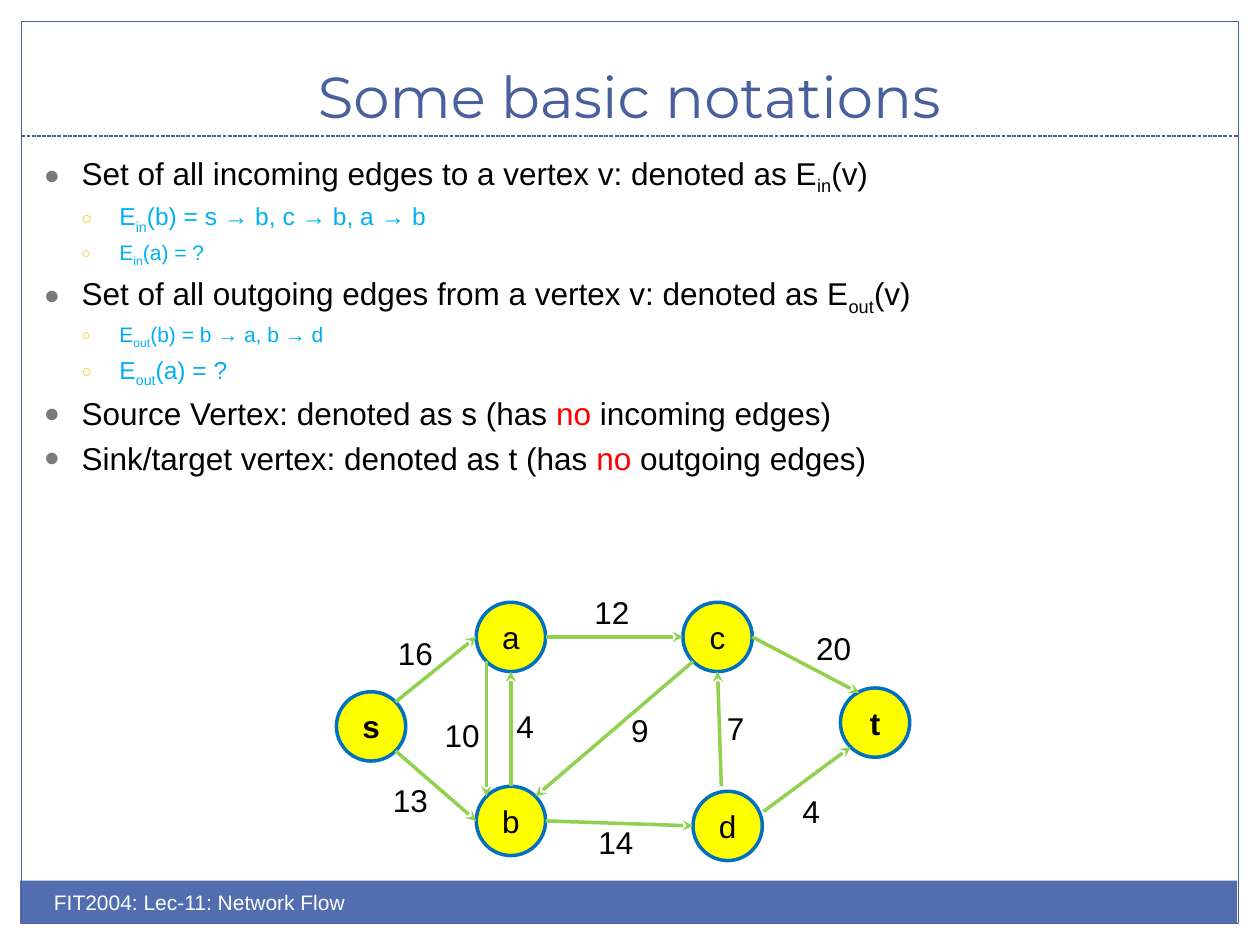
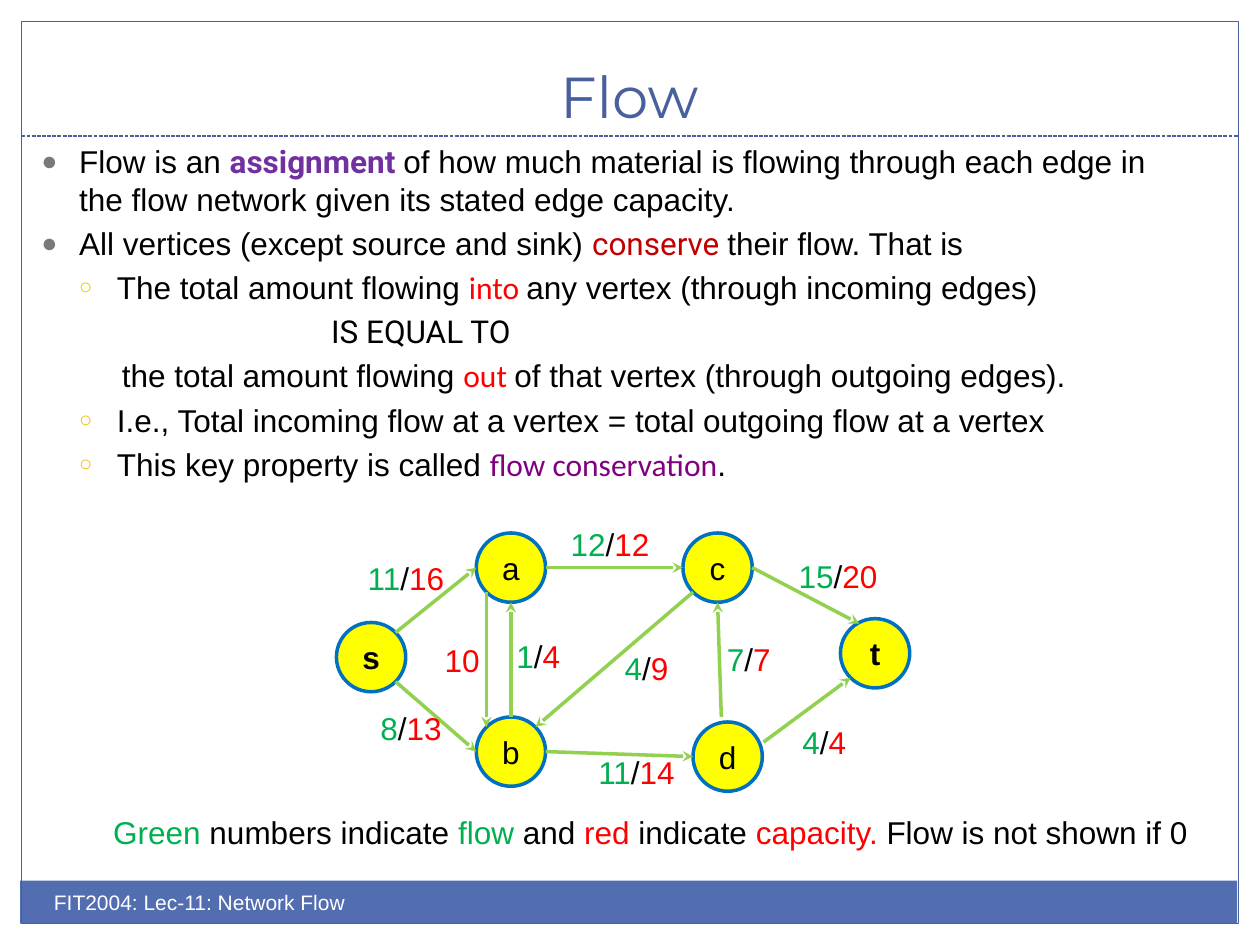
import math

import lxml.etree
import pptx
import pptx.dml.color
import pptx.enum.dml
import pptx.enum.shapes
import pptx.enum.text
import pptx.oxml.ns
import pptx.util

RGBColor = pptx.dml.color.RGBColor
SHAPE = pptx.enum.shapes.MSO_SHAPE
ANCHOR = pptx.enum.text.MSO_ANCHOR
ALIGN = pptx.enum.text.PP_ALIGN

SLIDE_WIDTH = pptx.util.Inches(10)
SLIDE_HEIGHT = pptx.util.Inches(7.5)
COLUMN = SLIDE_WIDTH / 100
ROW = SLIDE_HEIGHT / 75

BLACK = RGBColor(0, 0, 0)
WHITE = RGBColor(255, 255, 255)
FRAME_BLUE = RGBColor(0x48, 0x60, 0x9B)
BAND_BLUE = RGBColor(0x52, 0x6D, 0xB0)
NODE_YELLOW = RGBColor(0xFF, 0xFF, 0)
NODE_BLUE = RGBColor(0, 0x70, 0xC0)
EDGE_GREEN = RGBColor(0x92, 0xD0, 0x50)
FLOW_GREEN = RGBColor(0, 0xB0, 0x50)
RED = RGBColor(0xFF, 0, 0)
DARK_RED = RGBColor(0xC0, 0, 0)
PURPLE = RGBColor(0x70, 0x30, 0xA0)
VIOLET = RGBColor(0x80, 0, 0x80)
EXAMPLE_BLUE = RGBColor(0, 0xB0, 0xF0)
BULLET_GREY = RGBColor(0x7A, 0x7A, 0x7A)
BULLET_GOLD = RGBColor(0xF5, 0xC2, 0x01)

BASE = {"name": "Arial", "size": 18, "color": BLACK}
TITLE = {"name": "Montserrat", "size": 33, "color": FRAME_BLUE}
FOOTER = {"size": 12, "color": WHITE}
EXAMPLE_LARGE = {"size": 14, "color": EXAMPLE_BLUE}
EXAMPLE_SMALL = {"size": 12, "color": EXAMPLE_BLUE}
SUBSCRIPT = {"baseline": -25000}
IN_RED = {"color": RED}
IN_GREEN = {"color": FLOW_GREEN}
RED_CALIBRI = {"name": "Calibri", "color": RED}

BULLETS = {"main": (0, 3, "●", BULLET_GREY, 85), "sub": (1, 6, "○", BULLET_GOLD, 70)}

NODE_SIZE = 5.5
NODES = {"s": (0, 7.1), "a": (11.1, 0), "b": (11.1, 14.6),
         "c": (27.5, 0), "d": (28.3, 15), "t": (40, 6.8)}
TERMINALS = "st"
NO_SHIFT = (0, 0)
EDGES = [
    ("s", -45, NO_SHIFT, "a", 180, NO_SHIFT),
    ("s", 45, NO_SHIFT, "b", 180, NO_SHIFT),
    ("a", 135, NO_SHIFT, "b", 225, NO_SHIFT),
    ("a", 0, NO_SHIFT, "c", 180, NO_SHIFT),
    ("c", 0, NO_SHIFT, "t", 225, (0.7, -0.4)),
    ("d", -90, (-0.5, -0.4), "c", 90, NO_SHIFT),
    ("c", 135, NO_SHIFT, "b", -45, NO_SHIFT),
    ("b", -90, NO_SHIFT, "a", 90, NO_SHIFT),
    ("b", 0, NO_SHIFT, "d", 180, NO_SHIFT),
    ("d", -45, (0.9, 0.8), "t", 135, NO_SHIFT),
]
CAPACITIES = [("16", 3.9, 2), ("13", 3.5, 13.7), ("10", 7.6, 8.5), ("4", 13.3, 7.8),
              ("9", 22.4, 8.1), ("14", 19.8, 17), ("20", 37.1, 1.6), ("7", 30, 8),
              ("12", 19.5, -1.2), ("4", 36, 14.6)]
FLOWS = [("11/16", 1.5, 1.6), ("8/13", 2.5, 13.5), ("10", 7.6, 8.1), ("1/4", 13.3, 7.8),
         ("4/9", 21.9, 8.7), ("11/14", 19.8, 17), ("15/20", 35.7, 1.4), ("7/7", 30, 8),
         ("12/12", 17.6, -1.1), ("4/4", 36, 14.6)]


def place(left, top, width, height):
    return [round(value) for value in (left * COLUMN, top * ROW, width * COLUMN, height * ROW)]


def add_xml(parent, tag, **attributes):
    element = lxml.etree.SubElement(parent, pptx.oxml.ns.qn(tag))
    for name, value in attributes.items():
        element.set(name, str(value))
    return element


def add_run(paragraph, text, style):
    run = paragraph.add_run()
    run.text = text
    for name, value in {**BASE, **style}.items():
        if name == "color":
            run.font.color.rgb = value
        elif name == "baseline":
            run._r.get_or_add_rPr().set("baseline", str(value))
        else:
            setattr(run.font, name, pptx.util.Pt(value) if name == "size" else value)


def add_runs(paragraph, runs, style):
    for run in runs:
        text, own_style = (run, {}) if isinstance(run, str) else run
        add_run(paragraph, text, {**style, **own_style})


def add_text(slide, box, runs, style, wrap=True, anchor=ANCHOR.TOP, alignment=ALIGN.LEFT):
    frame = slide.shapes.add_textbox(*place(*box)).text_frame
    for name, value in {"word_wrap": wrap, "vertical_anchor": anchor}.items():
        setattr(frame, name, value)
    frame.paragraphs[0].alignment = alignment
    add_runs(frame.paragraphs[0], runs, style)


def set_line(line, color, width):
    line.color.rgb = color
    line.width = pptx.util.Pt(width)


def add_figure(slide, kind, box, fill=None, line=None):
    shape = slide.shapes.add_shape(kind, *place(*box))
    shape.shadow.inherit = False
    if fill is None:
        shape.fill.background()
    else:
        shape.fill.solid()
        shape.fill.fore_color.rgb = fill
    if line is None:
        shape.line.fill.background()
    else:
        set_line(shape.line, *line)
    return shape


def add_line(slide, start, end, color, width):
    points = place(*start, *end)
    connector = slide.shapes.add_connector(pptx.enum.shapes.MSO_CONNECTOR.STRAIGHT, *points)
    set_line(connector.line, color, width)
    add_xml(connector._element.spPr, "a:effectLst")
    return connector


def format_paragraph(paragraph, kind):
    properties = paragraph._p.get_or_add_pPr()
    add_xml(add_xml(properties, "a:spcBef"), "a:spcPct", val=20000)
    if kind in BULLETS:
        level, indent, character, color, size = BULLETS[kind]
        hanging = -3
        add_xml(add_xml(properties, "a:buClr"), "a:srgbClr", val=color)
        add_xml(properties, "a:buSzPct", val=size * 1000)
        add_xml(properties, "a:buFont", typeface="Arial")
        add_xml(properties, "a:buChar", char=character)
    else:
        level, indent, hanging = 1, kind, 0
        add_xml(properties, "a:buNone")
    paragraph.level = level
    properties.set("marL", str(round(indent * COLUMN)))
    properties.set("indent", str(round(hanging * COLUMN)))


def add_body(slide, box, items):
    frame = slide.shapes.add_textbox(*place(*box)).text_frame
    frame.word_wrap = True
    for index, (kind, style, runs) in enumerate(items):
        paragraph = frame.add_paragraph() if index else frame.paragraphs[0]
        format_paragraph(paragraph, kind)
        add_runs(paragraph, runs, style)


def add_framed_slide(presentation, title):
    slide = presentation.slides.add_slide(presentation.slide_layouts[6])
    add_figure(slide, SHAPE.RECTANGLE, (1.6, 69.9, 96.6, 3.4), fill=BAND_BLUE)
    add_figure(slide, SHAPE.RECTANGLE, (1.7, 1.7, 96.6, 71.6), line=(FRAME_BLUE, 0.75))
    rule = add_line(slide, (1.7, 10.8), (98.3, 10.8), FRAME_BLUE, 0.75)
    rule.line.dash_style = pptx.enum.dml.MSO_LINE.SQUARE_DOT
    add_text(slide, (3.3, 2.5, 93.3, 8.3), [title], TITLE,
             anchor=ANCHOR.BOTTOM, alignment=ALIGN.CENTER)
    add_text(slide, (3.3, 70.1, 50, 4), ["FIT2004: Lec-11: Network Flow"], FOOTER)
    return slide


def add_node(slide, left, top, name):
    node = add_figure(slide, SHAPE.OVAL, (left, top, NODE_SIZE, NODE_SIZE),
                      fill=NODE_YELLOW, line=(NODE_BLUE, 2))
    frame = node.text_frame
    settings = {"word_wrap": False, "vertical_anchor": ANCHOR.MIDDLE, "margin_left": 0,
                "margin_right": 0, "margin_top": 0, "margin_bottom": 0}
    for setting, value in settings.items():
        setattr(frame, setting, value)
    frame.paragraphs[0].alignment = ALIGN.CENTER
    add_run(frame.paragraphs[0], name, {"bold": name in TERMINALS})


def rim_point(left, top, name, angle, shift):
    radius = NODE_SIZE / 2
    turn = math.radians(angle)
    node_left, node_top = NODES[name]
    return (left + node_left + radius * (1 + math.cos(turn)) + shift[0],
            top + node_top + radius * (1 + math.sin(turn)) + shift[1])


def add_network(slide, left, top, labels, capacity_color):
    for name, (node_left, node_top) in NODES.items():
        add_node(slide, left + node_left, top + node_top, name)
    for edge in EDGES:
        start = rim_point(left, top, *edge[:3])
        end = rim_point(left, top, *edge[3:])
        arrow = add_line(slide, start, end, EDGE_GREEN, 2)
        add_xml(arrow.line._get_or_add_ln(), "a:tailEnd", type="stealth")
    for label, label_left, label_top in labels:
        flow, slash, capacity = label.rpartition("/")
        runs = [(flow, IN_GREEN), slash] if slash else []
        runs.append((capacity, {"color": capacity_color}))
        width = 2 + 1.39 * len(flow + capacity) + 0.7 * len(slash)
        add_text(slide, (left + label_left, top + label_top, width, 4), runs, {}, wrap=False)


def build_notation_slide(presentation):
    slide = add_framed_slide(presentation, "Some basic notations")
    incoming, outgoing = ("in", SUBSCRIPT), ("out", SUBSCRIPT)
    add_body(slide, (2.5, 11.7, 95, 50), [
        ("main", {}, ["Set of all incoming edges to a vertex v: denoted as E", incoming, "(v)"]),
        ("sub", EXAMPLE_LARGE, ["E", incoming, "(b) = s → b, c → b, a → b"]),
        ("sub", EXAMPLE_SMALL, ["E", incoming, "(a) = ?"]),
        ("main", {}, ["Set of all outgoing edges from a vertex v: denoted as E", outgoing, "(v)"]),
        ("sub", EXAMPLE_SMALL, ["E", outgoing, "(b) = b → a, b → d"]),
        ("sub", EXAMPLE_LARGE, ["E", outgoing, "(a) = ?"]),
        ("main", {}, ["Source Vertex: denoted as s (has ", ("no", IN_RED), " incoming edges)"]),
        ("main", {}, ["Sink/target vertex: denoted as t (has ", ("no", IN_RED),
                      " outgoing edges)"]),
    ])
    add_network(slide, 26.7, 47.8, CAPACITIES, BLACK)


def build_flow_slide(presentation):
    slide = add_framed_slide(presentation, "Flow")
    add_body(slide, (2.3, 10.8, 93, 50), [
        ("main", {}, ["Flow is an ",
                      ("assignment ", {"name": "Roboto", "color": PURPLE, "bold": True}),
                      "of how much material is flowing through each edge in the flow network "
                      "given its stated edge capacity."]),
        ("main", {}, ["All vertices (except source and sink) ",
                      ("conserve ", {"name": "Roboto", "color": DARK_RED}),
                      "their flow. That is"]),
        ("sub", {}, ["The total amount flowing ", ("into ", RED_CALIBRI),
                     "any vertex (through incoming edges)"]),
        (23, {"name": "Roboto"}, ["IS EQUAL TO"]),
        (6.4, {}, ["the total amount flowing ", ("out ", RED_CALIBRI),
                   "of that vertex (through outgoing edges)."]),
        ("sub", {}, ["I.e., Total incoming flow at a vertex = total outgoing flow at a vertex"]),
        ("sub", {}, ["This key property is called ",
                     ("flow conservation", {"name": "Calibri", "color": VIOLET}), "."]),
    ])
    add_network(slide, 26.7, 42.3, FLOWS, RED)
    add_text(slide, (8, 64, 87.9, 4), [
        ("Green", IN_GREEN), " numbers indicate ", ("flow", IN_GREEN), " and ", ("red", IN_RED),
        " indicate ", ("capacity. ", IN_RED), "Flow is not shown if 0"], {}, wrap=False)


def main():
    presentation = pptx.Presentation()
    presentation.slide_width = SLIDE_WIDTH
    presentation.slide_height = SLIDE_HEIGHT
    build_notation_slide(presentation)
    build_flow_slide(presentation)
    presentation.save("out.pptx")


if __name__ == "__main__":
    main()
